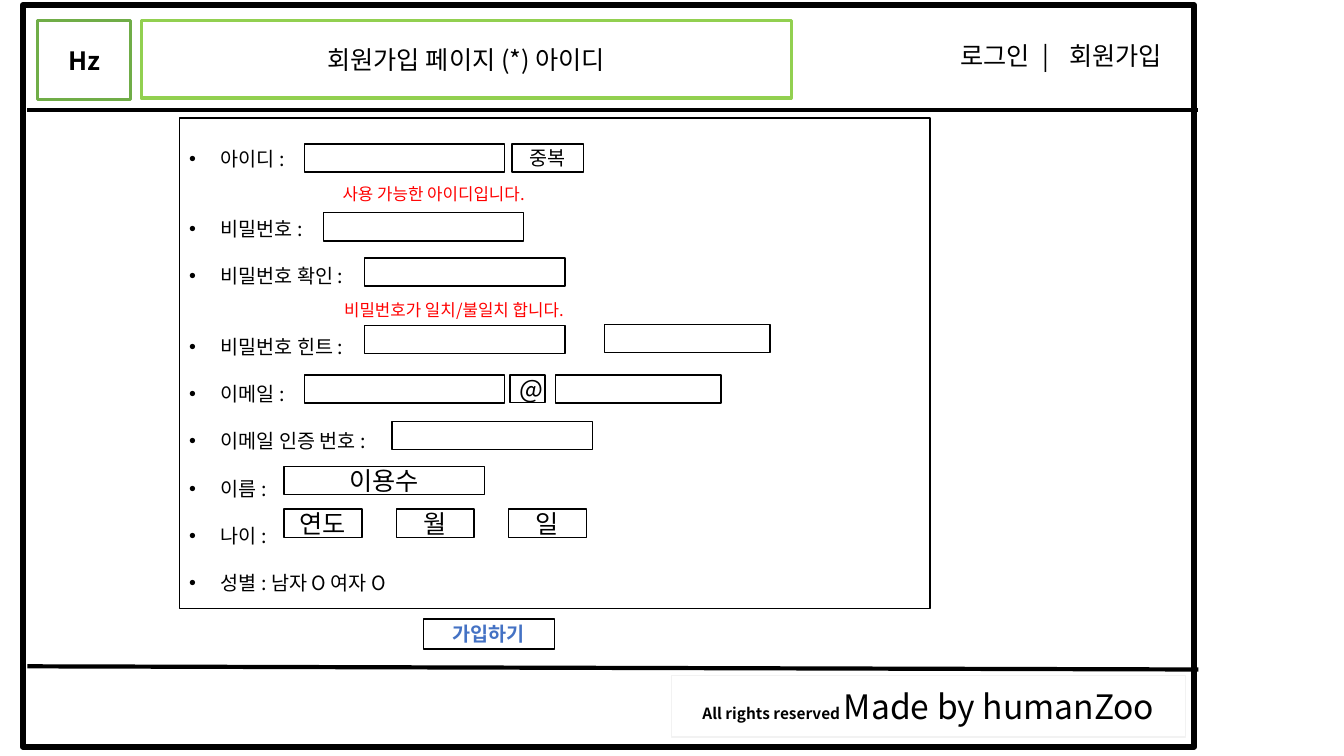
"""Build the wireframe slide of a membership sign-up page."""
from dataclasses import dataclass
from typing import Optional

from lxml import etree
from pptx import Presentation
from pptx.dml.color import RGBColor
from pptx.enum.shapes import MSO_CONNECTOR, MSO_SHAPE
from pptx.enum.text import MSO_ANCHOR, PP_ALIGN
from pptx.oxml.ns import qn
from pptx.util import Cm, Pt

RECT = MSO_SHAPE.RECTANGLE
STRAIGHT = MSO_CONNECTOR.STRAIGHT
TOP, MIDDLE = MSO_ANCHOR.TOP, MSO_ANCHOR.MIDDLE
LEFT, CENTER, RIGHT = PP_ALIGN.LEFT, PP_ALIGN.CENTER, PP_ALIGN.RIGHT

FONT = "Noto Sans CJK KR"
COLORS = {
    "white": "FFFFFF",
    "black": "000000",
    "pale": "F2F2F2",
    "green": "70AD47",
    "lime": "92D050",
    "red": "FF0000",
    "blue": "4472C4",
}
FIELD_W, SHORT_W, DATE_W, MESSAGE_W, FIELD_H = 5.05, 4.17, 1.96, 7.54, 0.71
DATE_LEFT, DATE_STEP = 7.16, 2.83
LINE_PT = 16.85


@dataclass
class Span:
    text: str
    size: float = 18
    bold: bool = False
    color: str = "black"
    spacing: int = 0


@dataclass
class Box:
    left: float
    top: float
    width: float = FIELD_W
    height: float = FIELD_H
    spans: tuple[Span, ...] = ()
    line: Optional[str] = "black"
    weight: float = 1
    align: PP_ALIGN = CENTER
    margin_right: float = 0.25


@dataclass
class Rule:
    x1: float
    y1: float
    x2: float
    y2: float


@dataclass
class Item:
    text: str
    gap: int = 1


PAGE = [
    Box(0.58, 0.13, 29.51, 18.69, weight=4.5),
    Box(16.92, 17.02, 12.95, 1.55,
        (Span("All rights reserved ", 11, True), Span("Made by humanZoo", 24)), "pale"),
    Box(0.94, 0.51, 2.36, 2.01, (Span("Hz", bold=True),), "green", 2.25),
    Box(22.86, 0.46, 7.04, 1.88,
        (Span("로그인"), Span(" | ", spacing=500), Span("회원가입")),
        None, align=RIGHT, margin_right=0.62),
    Box(3.56, 0.51, 16.38, 1.96, (Span("회원가입 페이지 (*) 아이디"),), "lime", 2.25),
]
RULES = [Rule(0.69, 2.77, 30.2, 2.77), Rule(0.69, 16.79, 30.2, 16.87)]
PANEL = Box(4.52, 2.97, 18.92, 12.37)
ITEMS = [
    Item("아이디 :", 0),
    Item("비밀번호 :", 2),
    Item("비밀번호 확인 :"),
    Item("비밀번호 힌트 :", 2),
    Item("이메일 :"),
    Item("이메일 인증 번호 :"),
    Item("이름 :"),
    Item("나이 :"),
    Item("성별 : 남자 O 여자 O"),
]
FIELDS = [
    Box(7.67, 3.63),
    Box(12.9, 3.63, 1.8, spans=(Span("중복", 14),)),
    Box(7.16, 4.52, MESSAGE_W, spans=(Span("사용 가능한 아이디입니다.", 12, color="red"),), line=None),
    Box(8.15, 5.36),
    Box(9.19, 6.5),
    Box(7.67, 7.44, MESSAGE_W,
        spans=(Span("비밀번호가 일치/불일치 합니다.", 12, color="red"),), line=None),
    Box(9.19, 8.2),
    Box(15.24, 8.18, SHORT_W),
    Box(7.67, 9.45),
    Box(12.85, 9.45, 0.89, 0.69, (Span("@"),)),
    Box(14, 9.45, SHORT_W),
    Box(9.88, 10.62),
    Box(DATE_LEFT, 11.76, spans=(Span("이용수"),)),
    *(Box(DATE_LEFT + i * DATE_STEP, 12.83, DATE_W, spans=(Span(unit),))
      for i, unit in enumerate(("연도", "월", "일"))),
    Box(10.67, 15.6, 3.3, 0.76, (Span("가입하기", 14, True, "blue"),)),
]


def rgb(name: str) -> RGBColor:
    return RGBColor.from_string(COLORS[name])


def add_span(p, span: Span) -> None:
    r = p.add_run()
    r.text = span.text
    for name, value in {"size": Pt(span.size), "bold": span.bold, "name": FONT}.items():
        setattr(r.font, name, value)
    r.font.color.rgb = rgb(span.color)
    props = r.font._element
    etree.SubElement(props, qn("a:ea"), typeface=FONT)
    if span.spacing:
        props.set("spc", str(span.spacing))


def add_box(s, box: Box):
    sp = s.shapes.add_shape(RECT, Cm(box.left), Cm(box.top), Cm(box.width), Cm(box.height))
    sp.shadow.inherit = False
    sp.fill.solid()
    sp.fill.fore_color.rgb = rgb("white")
    if box.line:
        sp.line.color.rgb = rgb(box.line)
        sp.line.width = Pt(box.weight)
    else:
        sp.line.fill.background()
    tf = sp.text_frame
    frame_format = {
        "word_wrap": True, "vertical_anchor": MIDDLE,
        "margin_left": Cm(0.25), "margin_right": Cm(box.margin_right),
        "margin_top": Cm(0.13), "margin_bottom": Cm(0.13),
    }
    for name, value in frame_format.items():
        setattr(tf, name, value)
    p = tf.paragraphs[0]
    p.alignment = box.align
    for span in box.spans:
        add_span(p, span)
    return sp


def add_rule(s, rule: Rule) -> None:
    line = s.shapes.add_connector(
        STRAIGHT, Cm(rule.x1), Cm(rule.y1), Cm(rule.x2), Cm(rule.y2))
    line.line.color.rgb = rgb("black")
    line.line.width = Pt(3)
    etree.SubElement(line._element.spPr, qn("a:effectLst"))


def add_items(sp, items: list[Item]) -> None:
    tf = sp.text_frame
    tf.vertical_anchor = TOP
    tf.margin_top = Cm(0.72)
    for i, item in enumerate(items):
        p = tf.add_paragraph() if i else tf.paragraphs[0]
        paragraph_format = {
            "alignment": LEFT, "line_spacing": Pt(LINE_PT),
            "space_before": Pt(item.gap * LINE_PT),
        }
        for name, value in paragraph_format.items():
            setattr(p, name, value)
        props = p._p.get_or_add_pPr()
        props.set("marL", str(Cm(0.79)))
        props.set("indent", str(-Cm(0.79)))
        color = etree.SubElement(props, qn("a:buClr"))
        etree.SubElement(color, qn("a:srgbClr"), val=COLORS["black"])
        etree.SubElement(props, qn("a:buFont"), typeface="Arial")
        etree.SubElement(props, qn("a:buChar"), char="•")
        add_span(p, Span(item.text, 14))


def main() -> None:
    prs = Presentation()
    prs.slide_width, prs.slide_height = Cm(33.87), Cm(19.05)
    s = prs.slides.add_slide(prs.slide_layouts[6])
    for box in PAGE:
        add_box(s, box)
    for rule in RULES:
        add_rule(s, rule)
    add_items(add_box(s, PANEL), ITEMS)
    for field in FIELDS:
        add_box(s, field)
    prs.save("out.pptx")


if __name__ == "__main__":
    main()
